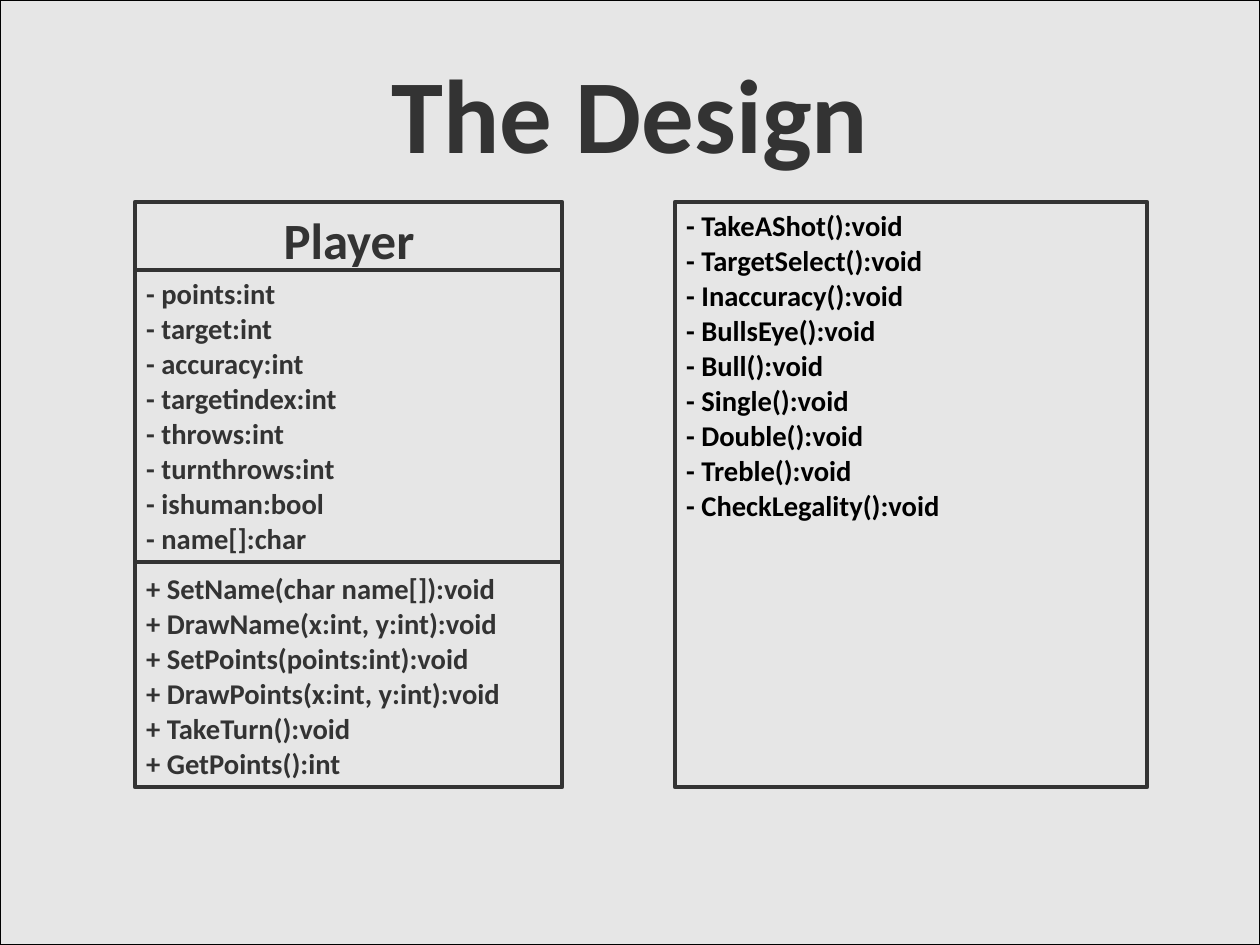
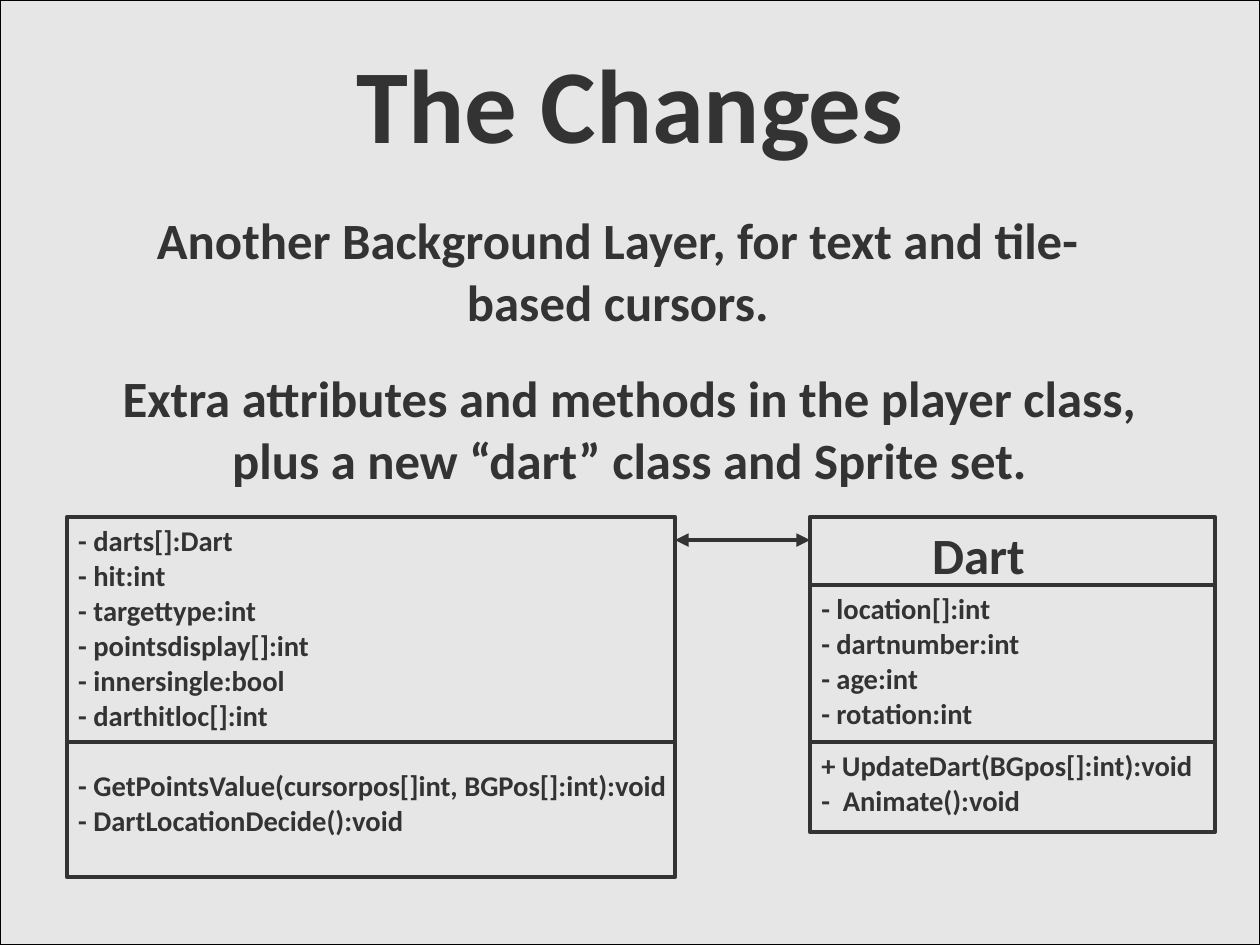
from dataclasses import dataclass

from lxml import etree
from pptx import Presentation
from pptx import util as u
from pptx.dml import color
from pptx.enum import shapes, text as t
from pptx.oxml import ns

PX = 8000  # EMU; 45 px to the centimetre
WIDTH, HEIGHT = 1260, 945  # 28 by 21 cm


@dataclass(frozen=True)
class Theme:
    paper: str = "E6E6E6"
    ink: str = "333333"
    black: str = "000000"
    font: str = "Calibri"
    title: int = 66
    heading: int = 32
    member: int = 18
    spacing: float = 1.02
    frame: float = 0.75
    rule: float = 2.83


theme = Theme()


def write(slide, text, box, size=theme.member, ink=theme.ink, centred=False):
    """Add a text box with one paragraph for each line of text."""
    shape = slide.shapes.add_textbox(*(n * PX for n in box))
    frame = shape.text_frame
    frame.word_wrap = True
    frame.text = text
    for paragraph in frame.paragraphs:
        paragraph.alignment = t.PP_ALIGN.CENTER if centred else t.PP_ALIGN.LEFT
        paragraph.line_spacing = theme.spacing
        font = paragraph.runs[0].font
        font.name, font.size, font.bold = theme.font, u.Pt(size), True
        font.color.rgb = color.RGBColor.from_string(ink)


def outline(shape, ink=theme.ink, width=theme.rule, arrows=False):
    """Give a shape or connector a round-joined line and no shadow."""
    shape.line.color.rgb = color.RGBColor.from_string(ink)
    shape.line.width = u.Pt(width)
    line = shape.line._get_or_add_ln()
    etree.SubElement(line, ns.qn("a:round"))
    if arrows:
        for end in ("a:headEnd", "a:tailEnd"):
            etree.SubElement(line, ns.qn(end), type="triangle")
    etree.SubElement(shape._element.spPr, ns.qn("a:effectLst"))


# Content: class boxes, their dividers and their texts
slides = [
    dict(
        title="The Design", title_top=41, statements=[], links=[],
        classes=[
            dict(box=(135, 202, 427, 585), dividers=[270, 562],
                 name="Player", name_box=(180, 202, 338, 73),
                 members=[
                     (270, theme.ink, ["- points:int", "- target:int", "- accuracy:int",
                                       "- targetindex:int", "- throws:int",
                                       "- turnthrows:int", "- ishuman:bool",
                                       "- name[]:char"]),
                     (565, theme.ink, ["+ SetName(char name[]):void",
                                       "+ DrawName(x:int, y:int):void",
                                       "+ SetPoints(points:int):void",
                                       "+ DrawPoints(x:int, y:int):void",
                                       "+ TakeTurn():void", "+ GetPoints():int"]),
                 ]),
            dict(box=(675, 202, 472, 585), dividers=[], name=None,
                 members=[
                     (202, theme.black, ["- TakeAShot():void", "- TargetSelect():void",
                                         "- Inaccuracy():void", "- BullsEye():void",
                                         "- Bull():void", "- Single():void",
                                         "- Double():void", "- Treble():void",
                                         "- CheckLegality():void"]),
                 ]),
        ],
    ),
    dict(
        title="The Changes", title_top=31,
        statements=[
            ("Another Background Layer, for text and tile-based cursors.",
             (112, 202, 1012, 136)),
            ("Extra attributes and methods in the player class, "
             "plus a new “dart” class and Sprite set.", (90, 360, 1080, 136)),
        ],
        links=[(675, 540, 810, 540)],
        classes=[
            dict(box=(67, 517, 608, 360), dividers=[742], name=None,
                 members=[
                     (517, theme.ink, ["- darts[]:Dart", "- hit:int", "- targettype:int",
                                       "- pointsdisplay[]:int", "- innersingle:bool",
                                       "- darthitloc[]:int"]),
                     (762, theme.ink, ["- GetPointsValue(cursorpos[]int, BGPos[]:int):void",
                                       "- DartLocationDecide():void"]),
                 ]),
            dict(box=(810, 517, 405, 315), dividers=[585, 742],
                 name="Dart", name_box=(787, 517, 383, 73),
                 members=[
                     (585, theme.ink, ["- location[]:int", "- dartnumber:int",
                                       "- age:int", "- rotation:int"]),
                     (742, theme.ink, ["+ UpdateDart(BGpos[]:int):void",
                                       "-  Animate():void"]),
                 ]),
        ],
    ),
]

presentation = Presentation()
presentation.slide_width = WIDTH * PX
presentation.slide_height = HEIGHT * PX

for content in slides:
    slide = presentation.slides.add_slide(presentation.slide_layouts[6])

    # Background panel and class boxes
    panels = [((0, 0, WIDTH, HEIGHT), theme.black, theme.frame)]
    panels += [(item["box"], theme.ink, theme.rule) for item in content["classes"]]
    for box, ink, width in panels:
        panel = slide.shapes.add_shape(shapes.MSO_SHAPE.RECTANGLE, *(n * PX for n in box))
        panel.fill.solid()
        panel.fill.fore_color.rgb = color.RGBColor.from_string(theme.paper)
        outline(panel, ink, width)

    # Title and statements
    write(slide, content["title"], (0, content["title_top"], WIDTH, 139),
          size=theme.title, centred=True)
    for statement, box in content["statements"]:
        write(slide, statement, box, size=theme.heading, centred=True)

    # Class names and members
    lines = [(link, True) for link in content["links"]]
    for item in content["classes"]:
        left, top, width, height = item["box"]
        if item["name"]:
            write(slide, item["name"], item["name_box"], size=theme.heading, centred=True)
        for member_top, ink, members in item["members"]:
            write(slide, "\n".join(members),
                  (left, member_top, width + 22, 11 + 35 * len(members)), ink=ink)
        lines += [((left, y, left + width, y), False) for y in item["dividers"]]

    # Dividers and arrows
    for ends, arrows in lines:
        connector = slide.shapes.add_connector(
            shapes.MSO_CONNECTOR.STRAIGHT, *(n * PX for n in ends))
        outline(connector, arrows=arrows)

presentation.save("out.pptx")
